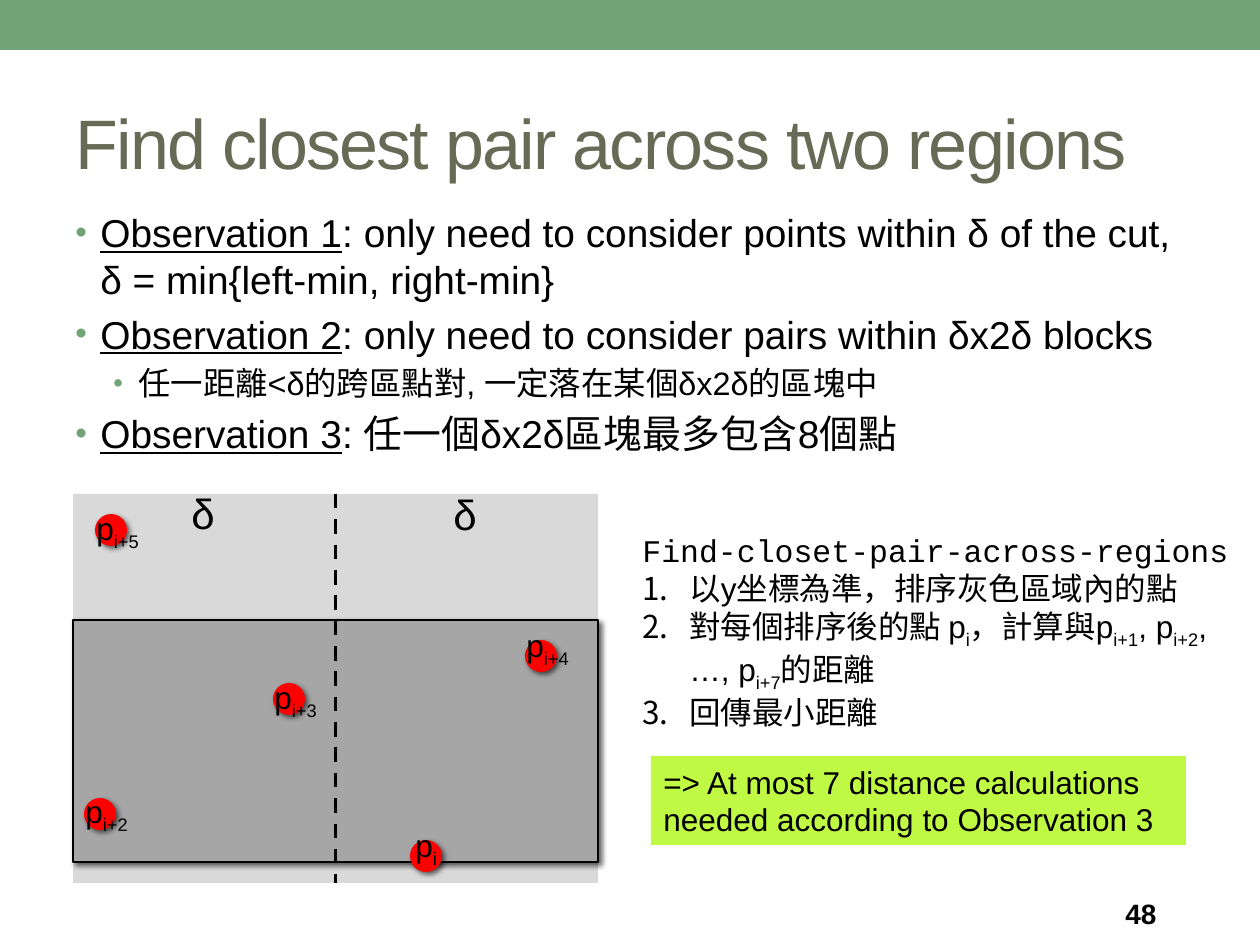
"""Build the slide on finding the closest pair across two regions."""
import pptx
import pptx.util
import pptx.dml.color
import pptx.enum.dml
import pptx.enum.shapes
import pptx.enum.text
import pptx.oxml
import pptx.oxml.ns

PX = 914400 / 126
COLORS = {"band": "72A376", "title": "676A55", "text": "000000", "strip": "D9D9D9",
          "block": "A6A6A6", "dot": "FF0000", "note": "BFF944"}
NS = pptx.oxml.ns.nsdecls("a")

TITLE = "Find closest pair across two regions"
OBSERVATIONS = [
    (0, "~Observation 1~: only need to consider points within δ of the cut, "
        "δ = min{left-min, right-min}"),
    (0, "~Observation 2~: only need to consider pairs within δx2δ blocks"),
    (1, "任一距離<δ的跨區點對, 一定落在某個δx2δ的區塊中"),
    (0, "~Observation 3~: 任一個δx2δ區塊最多包含8個點"),
]
LEVELS = [{"size": 22.2, "margin": 25}, {"size": 18.5, "margin": 63}]
ALGORITHM = "Find-closet-pair-across-regions"
STEPS = [
    "以y坐標為準，排序灰色區域內的點",
    "對每個排序後的點 p~i~，計算與p~i+1~, p~i+2~, …, p~i+7~的距離",
    "回傳最小距離",
]
NOTE = "=> At most 7 distance calculations needed according to Observation 3"
PAGE = "48"

STRIP = (73, 494, 525, 389)
BLOCK = (73, 620, 525, 242)
DOT = 32
POINTS = [
    ("p~i~", (410, 840), (403, 820), 48),
    ("p~i+2~", (84, 798), (73, 786), 72),
    ("p~i+3~", (273, 683), (262, 672), 72),
    ("p~i+4~", (525, 640), (514, 620), 72),
    ("p~i+5~", (95, 514), (84, 503), 72),
]
DELTAS = [(179, 481), (441, 482)]


def emu(*lengths):
    return [round(length * PX) for length in lengths]


def rgb(name):
    return pptx.dml.color.RGBColor.from_string(COLORS[name])


def append_xml(parent, *elements):
    for element in elements:
        parent.append(pptx.oxml.parse_xml(element))


def add_block(slide, box, fill, kind="RECTANGLE", outlined=False, shadowed=False):
    shape = slide.shapes.add_shape(pptx.enum.shapes.MSO_SHAPE[kind], *emu(*box))
    shape.fill.solid()
    shape.fill.fore_color.rgb = rgb(fill)
    if outlined:
        shape.line.color.rgb = rgb("text")
        shape.line.width = pptx.util.Pt(0.75)
    else:
        shape.line.fill.background()
    shape.shadow.inherit = False
    if shadowed:
        effects = shape._element.spPr.find(pptx.oxml.ns.qn("a:effectLst"))
        append_xml(effects, f'<a:outerShdw {NS} blurRad="38100" dist="25400" dir="2700000">'
                            '<a:srgbClr val="000000"><a:alpha val="60000"/></a:srgbClr>'
                            '</a:outerShdw>')
    return shape


def add_box(slide, box, wrap=True, middle=False):
    frame = slide.shapes.add_textbox(*emu(*box)).text_frame
    frame.word_wrap = wrap
    if middle:
        frame.vertical_anchor = pptx.enum.text.MSO_ANCHOR.MIDDLE
    return frame


def add_text(frame, text, *, size=18, font="Arial", color="text", bold=False,
             marked="subscript", margin=0, indent=0, bullets=(), before=0, tracking=0):
    """Write one paragraph; text between tildes gets the marked style."""
    paragraph = frame.paragraphs[0]
    if paragraph.runs:
        paragraph = frame.add_paragraph()
    properties = paragraph._p.get_or_add_pPr()
    if bullets:
        properties.set("marL", str(emu(margin)[0]))
        properties.set("indent", str(emu(-indent)[0]))
        append_xml(properties, *bullets)
    paragraph.alignment = pptx.enum.text.PP_ALIGN.LEFT
    if before:
        paragraph.space_before = pptx.util.Pt(before)
    for position, part in enumerate(text.split("~")):
        if not part:
            continue
        run = paragraph.add_run()
        run.text = part
        run.font.size = pptx.util.Pt(size)
        run.font.name = font
        run.font.bold = bold
        run.font.color.rgb = rgb(color)
        if tracking:
            run.font._element.set("spc", str(tracking))
        if position % 2 and marked == "underline":
            run.font.underline = True
        elif position % 2:
            run.font._element.set("baseline", "-25000")


def add_cut(slide, strip):
    cut = slide.shapes.add_connector(pptx.enum.shapes.MSO_CONNECTOR.STRAIGHT, 0, 0, 0, 0)
    cut.begin_connect(strip, 0)
    cut.end_connect(strip, 2)
    cut.line.color.rgb = rgb("text")
    cut.line.width = pptx.util.Pt(2.08)
    cut.line.dash_style = pptx.enum.dml.MSO_LINE.DASH
    append_xml(cut._element.spPr, f"<a:effectLst {NS}/>")


def add_diagram(slide):
    strip = add_block(slide, STRIP, "strip")
    add_block(slide, BLOCK, "block", outlined=True, shadowed=True)
    add_cut(slide, strip)
    for corner in DELTAS:
        add_text(add_box(slide, (*corner, 49, 63), wrap=False), "δ", size=24)
    for label, dot, corner, width in POINTS:
        add_block(slide, (*dot, DOT, DOT), "dot", kind="OVAL", shadowed=True)
        add_text(add_box(slide, (*corner, width, 50), wrap=False), label)


def main():
    deck = pptx.Presentation()
    deck.slide_width, deck.slide_height = emu(1260, 945)
    slide = deck.slides.add_slide(deck.slide_layouts[6])

    add_block(slide, (0, 0, 1260, 50), "band")
    add_text(add_box(slide, (63, 73, 1250, 136), middle=True), TITLE,
             size=40, color="title", tracking=-100)

    dot_bullet = (f'<a:buClr {NS}><a:srgbClr val="{COLORS["band"]}"/></a:buClr>',
                  f'<a:buSzPct {NS} val="85000"/>',
                  f'<a:buFont {NS} typeface="Arial"/>', f'<a:buChar {NS} char="•"/>')
    observations = add_box(slide, (63, 203, 1124, 290))
    for order, (level, text) in enumerate(OBSERVATIONS):
        add_text(observations, text, **LEVELS[level], indent=25, bullets=dot_bullet,
                 before=LEVELS[level]["size"] * 0.2 if order else 0, marked="underline")

    add_diagram(slide)

    algorithm = add_box(slide, (630, 525, 620, 204))
    add_text(algorithm, ALGORITHM, font="Courier New")
    for step in STEPS:
        add_text(algorithm, step, margin=47, indent=47,
                 bullets=(f'<a:buFont {NS} typeface="Arial"/>',
                          f'<a:buAutoNum {NS} type="arabicPeriod"/>'))

    add_text(add_block(slide, (651, 756, 535, 89), "note").text_frame, NOTE)
    add_text(add_box(slide, (1113, 890, 147, 46), middle=True), PAGE, size=16, bold=True)
    deck.save("out.pptx")


if __name__ == "__main__":
    main()
